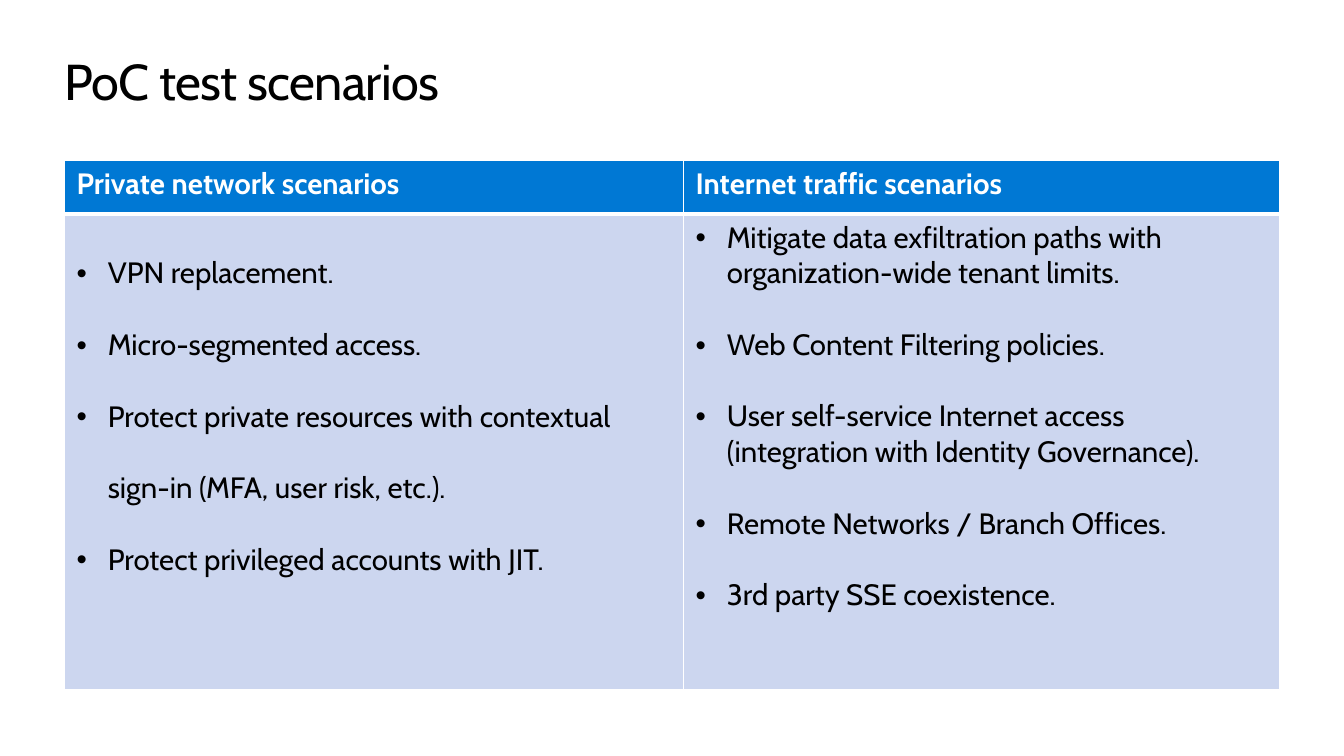
from lxml import etree
from pptx import Presentation
from pptx.dml.color import RGBColor
from pptx.oxml import ns
from pptx.util import Inches, Pt

COLORS = {"black": "000000", "white": "FFFFFF", "header": "0078D4", "body": "CCD6EF"}
LEFT, TABLE_TOP = 0.64, 1.59
COLUMN_WIDTHS = [6.14, 5.91]
ROW_HEIGHTS = [0.53, 4.72]
HEADER_RULE = 3

scenarios = [
    {
        "heading": "Private network scenarios",
        "items": [
            "VPN replacement.",
            "Micro-segmented access.",
            "Protect private resources with contextual sign-in (MFA, user risk, etc.).",
            "Protect privileged accounts with JIT.",
        ],
        "line_spacing": 2.0,
        "gap": 0,
    },
    {
        "heading": "Internet traffic scenarios",
        "items": [
            "Mitigate data exfiltration paths with organization-wide tenant limits.",
            "Web Content Filtering policies.",
            "User self-service Internet access (integration with Identity Governance).",
            "Remote Networks / Branch Offices.",
            "3rd party SSE coexistence.",
        ],
        "line_spacing": 1.0,
        "gap": 25.5,
    },
]


def write(paragraph, wording, size, color, bold=False):
    run = paragraph.add_run()
    run.text = wording
    for key, value in {"name": "Cabin", "size": Pt(size), "bold": bold}.items():
        setattr(run.font, key, value)
    run.font.color.rgb = RGBColor.from_string(COLORS[color])
    return run


def format_cell(cell, fill, border_widths):
    margins = {"margin_left": 0.12, "margin_right": 0.12,
               "margin_top": 0.06, "margin_bottom": 0.06}
    for key, value in margins.items():
        setattr(cell, key, Inches(value))
    cell.fill.solid()
    cell.fill.fore_color.rgb = RGBColor.from_string(COLORS[fill])
    # Borders come before the fill in the cell properties
    properties = cell._tc.get_or_add_tcPr()
    for position, (side, width) in enumerate(border_widths.items()):
        border = etree.Element(ns.qn(f"a:ln{side}"), w=str(Pt(width)))
        solid = etree.SubElement(border, ns.qn("a:solidFill"))
        etree.SubElement(solid, ns.qn("a:srgbClr"), val=COLORS["white"])
        properties.insert(position, border)


prs = Presentation()
prs.slide_width, prs.slide_height = Inches(13.33), Inches(7.5)
slide = prs.slides.add_slide(prs.slide_layouts[6])

# Title
title = slide.shapes.add_textbox(
    Inches(LEFT), Inches(0.5), Inches(sum(COLUMN_WIDTHS)), Inches(0.61)).text_frame
title.word_wrap = True
for side in ("left", "right", "top", "bottom"):
    setattr(title, f"margin_{side}", 0)
title_run = write(title.paragraphs[0], "PoC test scenarios", 36, "black")
title_run.font._element.set("spc", "-50")

# Table grid
table = slide.shapes.add_table(
    2, len(scenarios), Inches(LEFT), Inches(TABLE_TOP),
    Inches(sum(COLUMN_WIDTHS)), Inches(sum(ROW_HEIGHTS))).table
for column, width in zip(table.columns, COLUMN_WIDTHS):
    column.width = Inches(width)
for row, height in zip(table.rows, ROW_HEIGHTS):
    row.height = Inches(height)

# Headings and bulleted scenarios
for index, group in enumerate(scenarios):
    heading, body = table.cell(0, index), table.cell(1, index)
    format_cell(heading, "header", {"L": 1, "R": 1, "T": 1, "B": HEADER_RULE})
    format_cell(body, "body", {"L": 1, "R": 1, "T": HEADER_RULE, "B": 1})
    write(heading.text_frame.paragraphs[0], group["heading"], 21, "white", True)

    for number, item in enumerate(group["items"]):
        frame = body.text_frame
        paragraph = frame.add_paragraph() if number else frame.paragraphs[0]
        paragraph.line_spacing = group["line_spacing"]
        if number and group["gap"]:
            paragraph.space_before = Pt(group["gap"])
        layout = paragraph._p.get_or_add_pPr()
        layout.set("marL", str(Inches(0.31)))
        layout.set("indent", str(-Inches(0.31)))
        etree.SubElement(layout, ns.qn("a:buFont"), typeface="Arial")
        etree.SubElement(layout, ns.qn("a:buChar"), char="•")
        write(paragraph, item, 21, "black")

prs.save("out.pptx")
